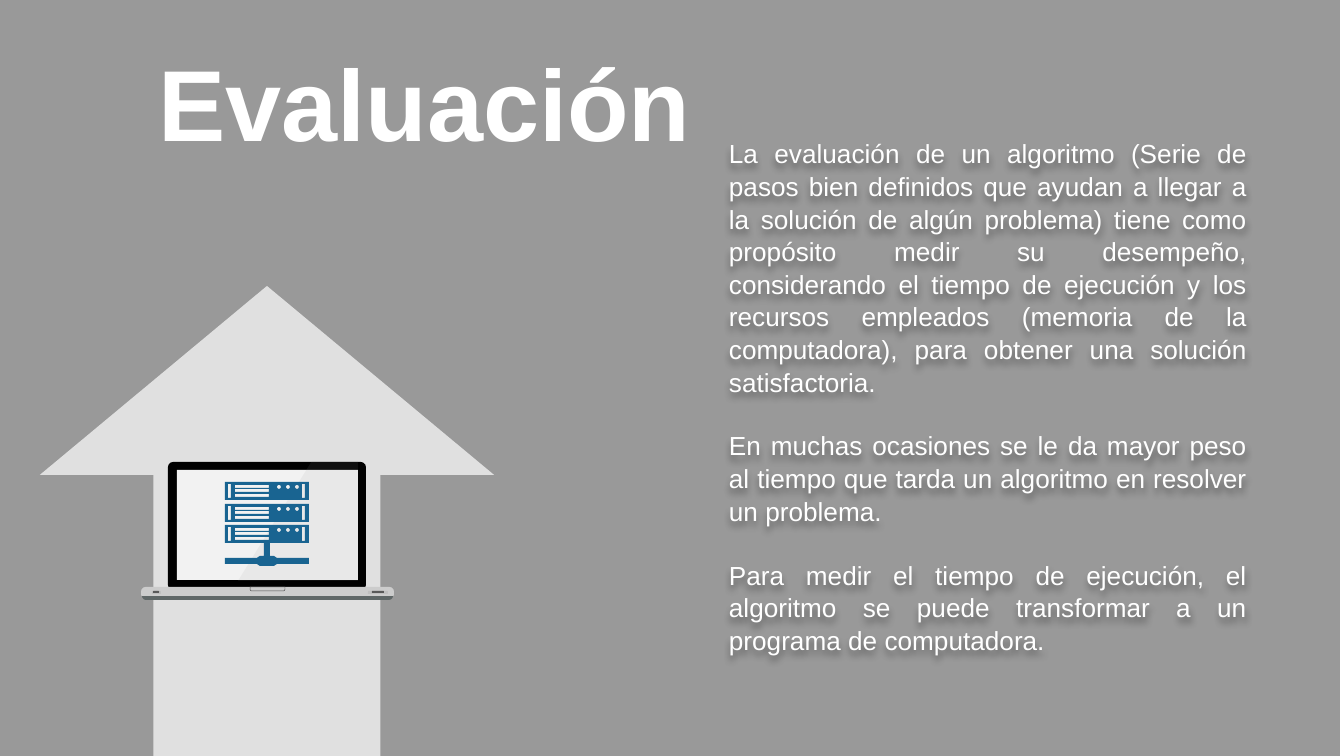
import math
from lxml import etree
from pptx import Presentation
from pptx.dml.color import RGBColor
from pptx.enum.shapes import MSO_SHAPE
from pptx.enum.text import MSO_ANCHOR, MSO_AUTO_SIZE, PP_ALIGN
from pptx.oxml.ns import qn
from pptx.util import Emu, Pt

RECTANGLE = MSO_SHAPE.RECTANGLE
ROUNDED = MSO_SHAPE.ROUNDED_RECTANGLE
TWO_ROUNDED = MSO_SHAPE.ROUND_2_SAME_RECTANGLE
UP_ARROW = MSO_SHAPE.UP_ARROW
MIDDLE = MSO_ANCHOR.MIDDLE
CENTER = PP_ALIGN.CENTER
JUSTIFY = PP_ALIGN.JUSTIFY
NO_AUTOFIT = MSO_AUTO_SIZE.NONE
EMU_PER_PX = 914400 / 134.4


def px(*values):
    return [Emu(round(value * EMU_PER_PX)) for value in values]


def paint(shape, color, opacity=100):
    shape.shadow.inherit = False
    shape.line.fill.background()
    shape.fill.solid()
    shape.fill.fore_color.rgb = RGBColor.from_string(color)
    if opacity < 100:
        color_element = shape._element.spPr.find(qn("a:solidFill"))[0]
        etree.SubElement(color_element, qn("a:alpha"), val=str(opacity * 1000))


presentation = Presentation()
presentation.slide_width, presentation.slide_height = px(1344, 756)
slide = presentation.slides.add_slide(presentation.slide_layouts[5])
shapes = slide.shapes

backdrop = shapes.add_shape(RECTANGLE, *px(-4, 0, 1344, 756))
paint(backdrop, "000000", 40)

arrow = shapes.add_shape(UP_ARROW, *px(40, 286, 454, 474))
arrow.adjustments[0] = 0.5
arrow.adjustments[1] = 0.416
paint(arrow, "FFFFFF", 70)

title = shapes.title
title.left, title.top, title.width, title.height = px(40, 30, 769, 142)
shapes._spTree.append(title._element)
title.text_frame.text = "Evaluación"

laptop_parts = [
    (TWO_ROUNDED, (142, 592, 251, 8), (0, 0.5), "5F6767"),
    (ROUNDED, (168, 462, 198, 128), (0.04,), "000000"),
    (RECTANGLE, (177, 470, 181, 110), (), "F2F2F2"),
    (TWO_ROUNDED, (141, 587, 253, 9), (0.5, 0.15), "CCCCCC"),
    (ROUNDED, (152, 591, 9, 3), (0.28,), "BFBFBF"),
    (ROUNDED, (153, 591, 6, 2), (0.28,), "595959"),
    (ROUNDED, (368, 591, 20, 3), (0.28,), "BFBFBF"),
    (ROUNDED, (372, 591, 12, 2), (0.28,), "595959"),
]
for kind, box, adjustments, color in laptop_parts:
    part = shapes.add_shape(kind, *px(*box))
    for index, value in enumerate(adjustments):
        part.adjustments[index] = value
    paint(part, color)

notch = shapes.add_shape(TWO_ROUNDED, *px(250, 587, 35, 4))
notch.adjustments[0] = 0
notch.adjustments[1] = 0.5
notch.shadow.inherit = False
notch.fill.background()
notch.line.color.rgb = RGBColor.from_string("4D4D4D")
notch.line.width = Pt(0.25)

glare_builder = shapes.build_freeform(*px(312, 461))
glare_builder.add_line_segments([px(358, 461), px(358, 581), px(238, 581)])
paint(glare_builder.convert_to_shape(), "999999", 10)

stand = [(264, 543), (270, 543), (270, 556), (274, 556), (277, 558), (309, 558),
         (309, 564), (277, 564), (274, 566), (260, 566), (257, 564), (225, 564),
         (225, 558), (257, 558), (260, 556), (264, 556)]
contours = [stand]
for top in (482, 504, 525):
    boxes = [(225, top, 309, top + 18)]
    boxes += [(x, top + 2, x + 3, top + 16) for x in (228, 302)]
    boxes += [(235, top + y, 269, top + y + 3) for y in (3, 7, 12)]
    for x1, y1, x2, y2 in boxes:
        contours.append([(x1, y1), (x2, y1), (x2, y2), (x1, y2)])
    for center in (279, 288, 297):
        angles = [math.pi * step / 6 for step in range(12)]
        contours.append([(center + 2 * math.cos(angle), top + 5 + 2 * math.sin(angle))
                         for angle in angles])

server_builder = shapes.build_freeform(*px(*contours[0][0]))
for contour in contours:
    if contour is not stand:
        server_builder.move_to(*px(*contour[0]))
    server_builder.add_line_segments([px(*point) for point in contour[1:]], close=True)
paint(server_builder.convert_to_shape(), "196491")

body = shapes.add_textbox(*px(719, 142, 538, 508))
body.text_frame.text = "\n".join([
    "La evaluación de un algoritmo (Serie de pasos bien definidos que ayudan a llegar "
    "a la solución de algún problema) tiene como propósito medir su desempeño, "
    "considerando el tiempo de ejecución y los recursos empleados (memoria de la "
    "computadora), para obtener una solución satisfactoria.",
    "En muchas ocasiones se le da mayor peso al tiempo que tarda un algoritmo en "
    "resolver un problema.",
    "Para medir el tiempo de ejecución, el algoritmo se puede transformar a un "
    "programa de computadora.",
])
effects = etree.SubElement(body._element.spPr, qn("a:effectLst"))
shadow = etree.SubElement(effects, qn("a:outerShdw"), blurRad="50800", dist="38100",
                          dir="5400000", algn="t", rotWithShape="0")
shadow_color = etree.SubElement(shadow, qn("a:srgbClr"), val="000000")
etree.SubElement(shadow_color, qn("a:alpha"), val="40000")

for shape, size, bold, alignment in ((title, 54, True, CENTER), (body, 14, False, JUSTIFY)):
    frame = shape.text_frame
    frame.word_wrap = True
    frame.auto_size = NO_AUTOFIT
    frame.vertical_anchor = MIDDLE
    frame.margin_left, frame.margin_right = px(10, 10)
    frame.margin_top, frame.margin_bottom = px(5, 5)
    for paragraph in frame.paragraphs:
        paragraph.alignment = alignment
        for run in paragraph.runs:
            run.font.name = "Arial"
            run.font.size = Pt(size)
            run.font.bold = bold
            run.font.color.rgb = RGBColor.from_string("FFFFFF")

for paragraph in body.text_frame.paragraphs:
    paragraph.line_spacing = 1.04
for paragraph in body.text_frame.paragraphs[:-1]:
    paragraph.space_after = Pt(16.8)

presentation.save("out.pptx")
